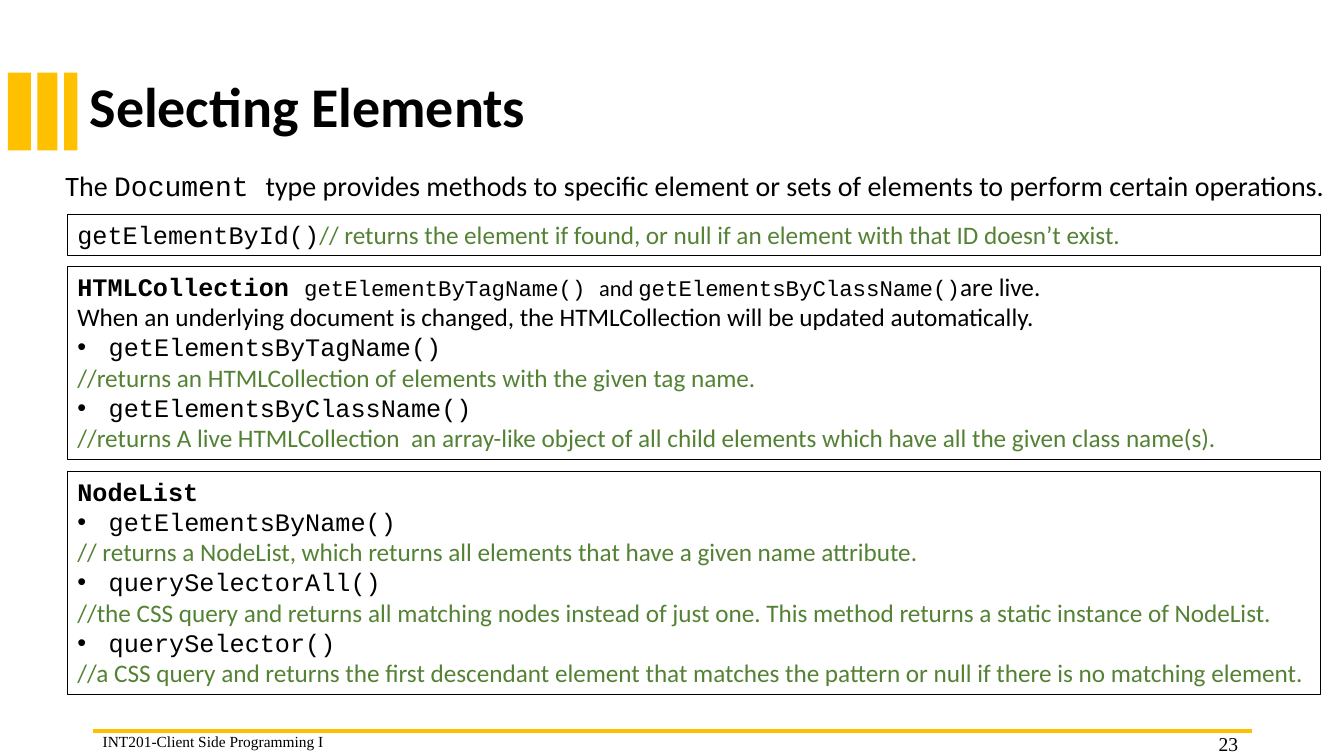
from lxml.etree import SubElement
from pptx import Presentation
from pptx.dml.color import RGBColor
from pptx.enum.shapes import MSO_CONNECTOR as Connector, MSO_SHAPE as Shape
from pptx.enum.text import MSO_ANCHOR as Anchor, PP_ALIGN as Align
from pptx.oxml.ns import qn
from pptx.util import Cm, Pt

COLORS = {"ink": "000000", "accent": "FFC000", "comment": "548235"}

# Run styles: font, size, colour, bold
STYLES = {
    "title": ("Calibri", 40, "ink", True),
    "intro": ("Calibri", 20, "ink", False),
    "intro code": ("Courier New", 20, "ink", False),
    "heading": ("Courier New", 18, "ink", True),
    "code": ("Courier New", 18, "ink", False),
    "small code": ("Courier New", 16, "ink", False),
    "text": ("Calibri", 18, "ink", False),
    "small text": ("Calibri", 16, "ink", False),
    "comment": ("Calibri", 18, "comment", False),
    "footer": ("Times New Roman", 11, "ink", False),
    "page": ("Times New Roman", 14, "ink", False),
}

BY_ID = [
    [("getElementById()", "code"),
     ("// returns the element if found, or null if an element with that ID doesn’t exist.", "comment")],
]
HTML_COLLECTION = [
    [("HTMLCollection ", "heading"), ("getElementByTagName() ", "small code"), ("and ", "small text"),
     ("getElementsByClassName()", "small code"), ("are live.", "text")],
    [("When an underlying document is changed, the HTMLCollection will be updated automatically.", "text")],
    [("getElementsByTagName()", "code")],
    [("//returns an HTMLCollection of elements with the given tag name.", "comment")],
    [("getElementsByClassName()", "code")],
    [("//returns A live HTMLCollection  an array-like object of all child elements "
      "which have all the given class name(s).", "comment")],
]
NODE_LIST = [
    [("NodeList", "heading")],
    [("getElementsByName()", "code")],
    [("// returns a NodeList, which returns all elements that have a given name attribute.", "comment")],
    [("querySelectorAll()", "code")],
    [("//the CSS query and returns all matching nodes instead of just one. "
      "This method returns a static instance of NodeList.", "comment")],
    [("querySelector()", "code")],
    [("//a CSS query and returns the first descendant element that matches the pattern "
      "or null if there is no matching element.", "comment")],
]


def color(name):
    return RGBColor.from_string(COLORS[name])


def write_runs(paragraph, runs):
    paragraph.alignment = Align.LEFT
    for words, style in runs:
        run = paragraph.add_run()
        run.text = words
        name, size, ink, bold = STYLES[style]
        run.font.name, run.font.size, run.font.bold = name, Pt(size), bold
        run.font.color.rgb = color(ink)


def add_bullet(paragraph):
    properties = paragraph._p.get_or_add_pPr()
    properties.set("marL", str(Cm(0.79)))
    properties.set("indent", str(Cm(-0.79)))
    SubElement(properties, qn("a:buFont"), typeface="Arial")
    SubElement(properties, qn("a:buChar"), char="•")


def add_line_of_text(slide, box, runs, wrap=True, anchor=Anchor.TOP):
    frame = slide.shapes.add_textbox(*map(Cm, box)).text_frame
    frame.word_wrap = wrap
    frame.vertical_anchor = anchor
    write_runs(frame.paragraphs[0], runs)
    return frame.paragraphs[0]


def add_bars(slide, left, top, height):
    for offset, width in ((0, 0.58), (0.74, 0.51), (1.42, 0.33)):
        bar = slide.shapes.add_shape(Shape.RECTANGLE, Cm(left + offset), Cm(top), Cm(width), Cm(height))
        bar.shadow.inherit = False
        bar.fill.solid()
        bar.fill.fore_color.rgb = color("accent")
        bar.line.fill.background()


def add_footer(slide, left, top, width):
    rule = slide.shapes.add_connector(Connector.STRAIGHT, Cm(left), Cm(top), Cm(left + width), Cm(top))
    rule.line.color.rgb = color("accent")
    rule.line.width = Pt(3)
    SubElement(rule._element.spPr, qn("a:effectLst"))
    text_top, page_width = top - 0.1, 1.09
    add_line_of_text(slide, (left + width - page_width, text_top, page_width, 0.86),
                     [("23", "page")], wrap=False)
    add_line_of_text(slide, (left, text_top, 6.1, 0.74),
                     [("INT201-Client Side Programming I", "footer")], wrap=False)


def add_heading(slide, left, top):
    title = add_line_of_text(slide, (left, top, 29.21, 3.68),
                             [("Selecting Elements", "title")], anchor=Anchor.MIDDLE)
    intro = add_line_of_text(slide, (left - 0.61, top + 3.3, 32.77, 1.1), [
        ("The ", "intro"), ("Document ", "intro code"),
        ("type provides methods to specific element or sets of elements "
         "to perform certain operations.", "intro")])
    title.line_spacing = intro.line_spacing = 0.9


def add_method_card(slide, left, top, width, height, lines):
    card = slide.shapes.add_shape(Shape.RECTANGLE, Cm(left), Cm(top), Cm(width), Cm(height))
    card.shadow.inherit = False
    card.fill.background()
    card.line.color.rgb = color("ink")
    card.line.width = Pt(0.75)
    frame = card.text_frame
    frame.word_wrap = True
    frame.vertical_anchor = Anchor.TOP
    for index, runs in enumerate(lines):
        paragraph = frame.add_paragraph() if index else frame.paragraphs[0]
        write_runs(paragraph, runs)
        # A method alone on its line is a list item
        if len(runs) == 1 and runs[0][1] == "code":
            add_bullet(paragraph)


def add_method_cards(slide, left, top, width, gap=0.28):
    for height, lines in ((1.02, BY_ID), (4.88, HTML_COLLECTION), (5.64, NODE_LIST)):
        add_method_card(slide, left, top, width, height, lines)
        top += height + gap


def main():
    deck = Presentation()
    deck.slide_width, deck.slide_height = Cm(33.87), Cm(19.05)
    slide = deck.slides.add_slide(deck.slide_layouts[6])
    add_footer(slide, 2.34, 18.42, 29.21)
    add_bars(slide, 0.2, 1.83, 1.96)
    add_heading(slide, 2.01, 0.91)
    add_method_cards(slide, 1.7, 5.41, 31.57)
    deck.save("out.pptx")


if __name__ == "__main__":
    main()
